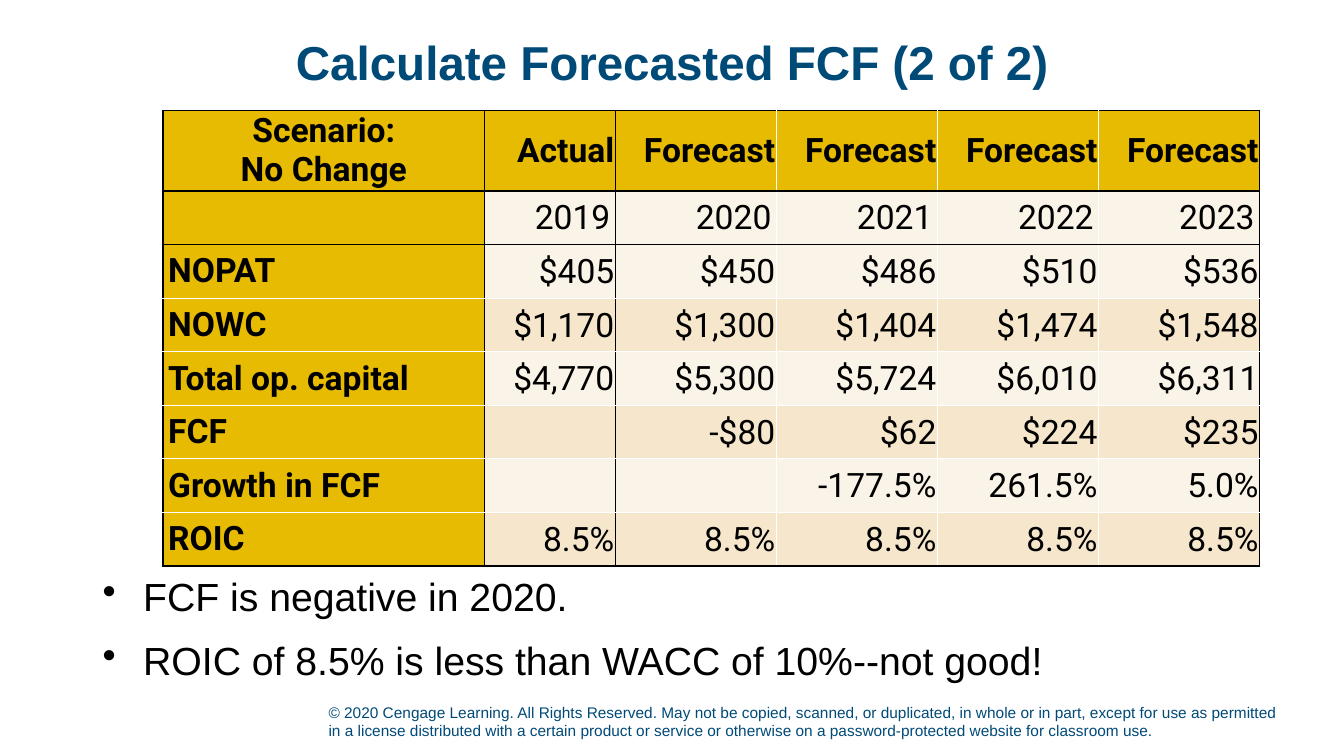
from lxml import etree
from pptx import Presentation
from pptx import util as u
from pptx.dml.color import RGBColor
from pptx.enum import text
from pptx.oxml import ns

NAVY, GOLD, BLACK, WHITE = "004A78", "E7BB01", "000000", "FFFFFF"
LIGHT, TAN = "FAF3E7", "F6E7CC"
ALIGN, ANCHOR = text.PP_ALIGN, text.MSO_ANCHOR

FORECAST = [
    ["Scenario:\nNo Change", "Actual"] + ["Forecast"] * 4,
    ["", "2019", "2020", "2021", "2022", "2023"],
    ["NOPAT", "$405", "$450", "$486", "$510", "$536"],
    ["NOWC", "$1,170", "$1,300", "$1,404", "$1,474", "$1,548"],
    ["Total op. capital", "$4,770", "$5,300", "$5,724", "$6,010", "$6,311"],
    ["FCF", "", "-$80", "$62", "$224", "$235"],
    ["Growth in FCF", "", "", "-177.5%", "261.5%", "5.0%"],
    ["ROIC"] + ["8.5%"] * 5,
]
COLUMN_WIDTHS = [8.1, 3.3] + [4.06] * 4
ROW_HEIGHTS = [2] + [1.35] * 7
BLACK_COLUMN_EDGES = {0, 1, 2, 6}
BLACK_ROW_EDGES = {0, 1, 2, 8}
TAKEAWAYS = ["FCF is negative in 2020.",
             "ROIC of 8.5% is less than WACC of 10%--not good!"]
COPYRIGHT = ("© 2020 Cengage Learning. All Rights Reserved. May not be copied, "
             "scanned, or duplicated, in whole or in part, except for use as "
             "permitted in a license distributed with a certain product or service "
             "or otherwise on a password-protected website for classroom use.")


def rgb(color):
    return RGBColor.from_string(color)


def apply(target, **values):
    for name, value in values.items():
        setattr(target, name, value)


def style_font(font, name, size, color, bold=False):
    apply(font, name=name, size=u.Pt(size), bold=bold)
    font.color.rgb = rgb(color)


def add_text(slide, box, lines, size, color, anchor, bold=False, **paragraph_format):
    frame = slide.shapes.add_textbox(*map(u.Cm, box)).text_frame
    apply(frame, word_wrap=True, vertical_anchor=anchor, text="\n".join(lines))
    for paragraph in frame.paragraphs:
        apply(paragraph, **paragraph_format)
        style_font(paragraph.font, "Arial", size, color, bold)
    return frame


def add_bullets(slide, box, lines):
    frame = add_text(slide, box, lines, 28, BLACK, ANCHOR.TOP, space_after=u.Pt(6))
    for index, paragraph in enumerate(frame.paragraphs):
        if index:
            paragraph.space_before = u.Pt(6)
        properties = paragraph._p.get_or_add_pPr()
        properties.set("marL", str(u.Cm(1.02)))
        properties.set("indent", str(-u.Cm(1.02)))
        bullet = etree.Element(ns.qn("a:buChar"), char="•")
        properties.find(ns.qn("a:defRPr")).addprevious(bullet)


def set_borders(cell, row, column):
    """Colour each side by the grid edge it lies on."""
    sides = [("L", column, BLACK_COLUMN_EDGES), ("R", column + 1, BLACK_COLUMN_EDGES),
             ("T", row, BLACK_ROW_EDGES), ("B", row + 1, BLACK_ROW_EDGES)]
    properties = cell._tc.get_or_add_tcPr()
    for position, (side, edge, black_edges) in enumerate(sides):
        line = etree.Element(ns.qn("a:ln" + side), w=str(u.Pt(1)))
        fill = etree.SubElement(line, ns.qn("a:solidFill"))
        color = BLACK if edge in black_edges else WHITE
        etree.SubElement(fill, ns.qn("a:srgbClr"), val=color)
        properties.insert(position, line)


def fill_cell(cell, row, column, value):
    is_label = column == 0
    is_header = row == 0
    roomy = is_label or row == 1
    side = u.Cm(0.13 if roomy else 0.03)
    apply(cell, text=value, vertical_anchor=ANCHOR.MIDDLE, margin_left=side,
          margin_right=side, margin_top=u.Cm(0 if roomy else 0.03), margin_bottom=0)
    cell.fill.solid()
    body_color = TAN if row > 1 and row % 2 else LIGHT
    cell.fill.fore_color.rgb = rgb(GOLD if is_label or is_header else body_color)
    label_align = ALIGN.CENTER if is_header else ALIGN.LEFT
    for paragraph in cell.text_frame.paragraphs:
        paragraph.alignment = label_align if is_label else ALIGN.RIGHT
        style_font(paragraph.font, "Roboto", 24, BLACK, is_label or is_header)
    set_borders(cell, row, column)


def add_forecast_table(slide, left, top):
    table = slide.shapes.add_table(
        len(FORECAST), len(COLUMN_WIDTHS), u.Cm(left), u.Cm(top),
        u.Cm(sum(COLUMN_WIDTHS)), u.Cm(sum(ROW_HEIGHTS))).table
    for column, width in zip(table.columns, COLUMN_WIDTHS):
        column.width = u.Cm(width)
    for row, height in zip(table.rows, ROW_HEIGHTS):
        row.height = u.Cm(height)
    for row, values in enumerate(FORECAST):
        for column, value in enumerate(values):
            fill_cell(table.cell(row, column), row, column, value)


def main():
    deck = Presentation()
    apply(deck, slide_width=u.Cm(33.87), slide_height=u.Cm(19.05))
    slide = deck.slides.add_slide(deck.slide_layouts[6])
    add_text(slide, (8.03, 17.5, 24.46, 1.27), [COPYRIGHT], 11, NAVY, ANCHOR.BOTTOM)
    add_text(slide, (2.34, 0.38, 29.21, 2.54), ["Calculate Forecasted FCF (2 of 2)"],
             34, NAVY, ANCHOR.MIDDLE, bold=True, alignment=ALIGN.CENTER,
             line_spacing=0.9)
    add_forecast_table(slide, 4.11, 2.78)
    add_bullets(slide, (2.34, 14.3, 29.21, 2.97), TAKEAWAYS)
    deck.save("out.pptx")


if __name__ == "__main__":
    main()
